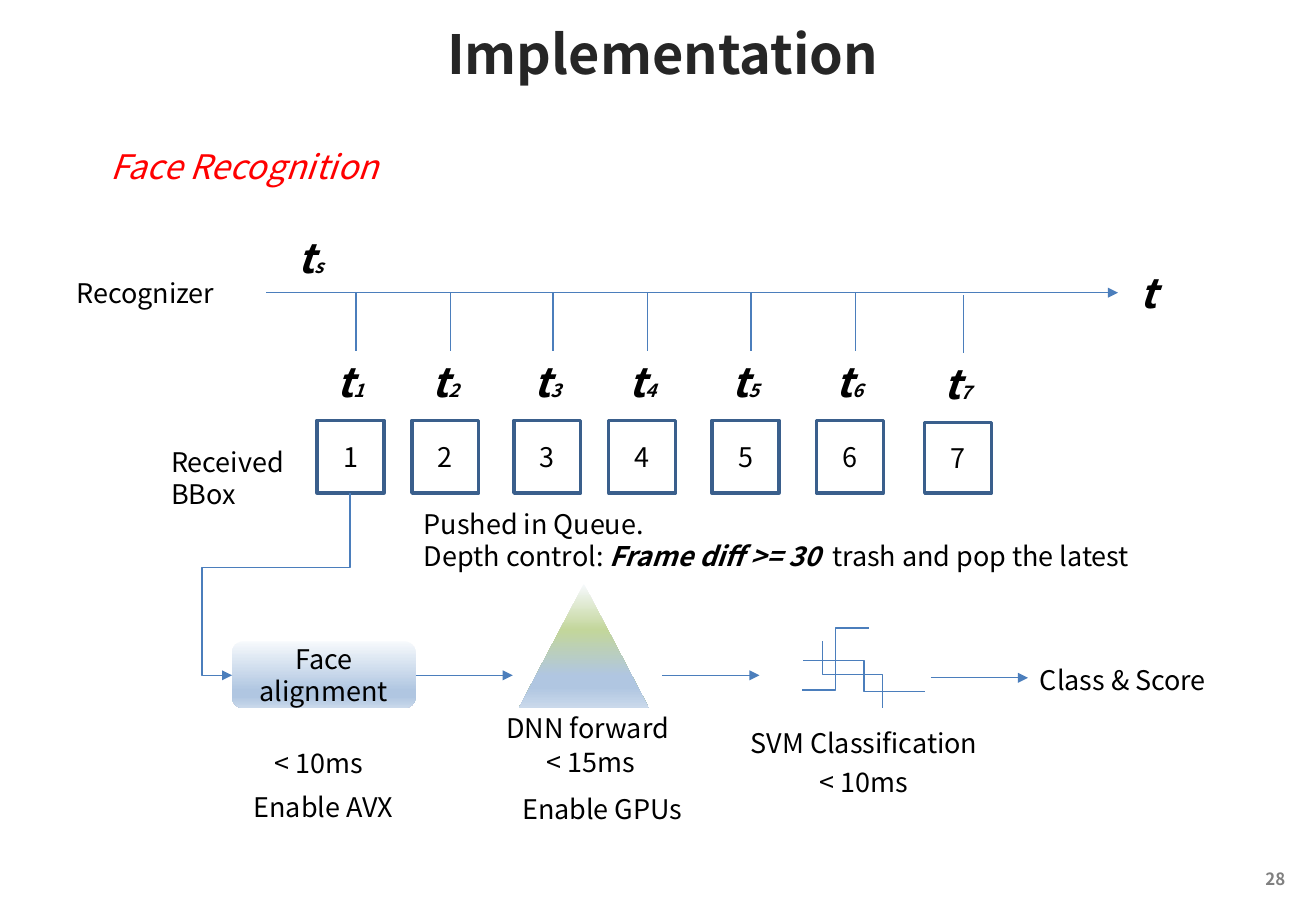
from dataclasses import dataclass
from pptx import Presentation
from pptx.dml.color import RGBColor as RGB
from pptx.enum.shapes import MSO_CONNECTOR as Link, MSO_SHAPE as Shape
from pptx.enum.text import MSO_ANCHOR as Anchor, MSO_AUTO_SIZE as Fit, PP_ALIGN as Align
from pptx.oxml import parse_xml
from pptx.oxml.ns import nsdecls, qn
from pptx.util import Inches, Pt


@dataclass(frozen=True)
class Theme:
    font: str = "Noto Sans CJK KR"
    ink: str = "000000"
    dark: str = "262626"
    gray: str = "808080"
    red: str = "FF0000"
    line: str = "4B7EBC"
    edge: str = "3A5F8C"
    pale: tuple = (0, "F6F9FC")
    green: tuple = (37, "C3D69B")
    blue: tuple = ((74, "B0C6E1"), (83, "B0C6E1"), (100, "CAD9EB"))
    title: int = 32
    head: int = 20
    time: int = 24
    body: int = 16
    sub: int = 11
    page: int = 10
    thin: float = 0.75
    thick: float = 2


T = Theme()


def style(run, size=T.body, color=T.ink, bold=False, italic=False):
    font = run.font
    font.name, font.size = T.font, Pt(size)
    font.bold, font.italic = bold, italic
    font.color.rgb = RGB.from_string(color)


def label(slide, text, x, y, w, h=0.37, **look):
    frame = slide.shapes.add_textbox(*map(Inches, (x, y, w, h))).text_frame
    frame.word_wrap = True
    frame.text = text
    for para in frame.paragraphs:
        for run in para.runs:
            style(run, **look)
    return frame


def moment(slide, sub, x, y, w=0.53):
    look = dict(bold=True, italic=True)
    frame = label(slide, "t", x, y, w, 0.5, size=T.time, **look)
    if sub:
        run = frame.paragraphs[0].add_run()
        run.text = sub
        style(run, T.sub, **look)


def block(slide, kind, x, y, w, h, text="", stops=()):
    shape = slide.shapes.add_shape(kind, *map(Inches, (x, y, w, h)))
    shape.shadow.inherit = False
    if stops:
        shape.line.fill.background()
        marks = "".join(
            f'<a:gs pos="{pos * 1000}"><a:srgbClr val="{color}"/></a:gs>'
            for pos, color in stops)
        grad = parse_xml(
            f'<a:gradFill {nsdecls("a")} rotWithShape="1"><a:gsLst>{marks}</a:gsLst>'
            '<a:lin ang="5400000" scaled="0"/></a:gradFill>')
        shape._element.spPr.find(qn("a:prstGeom")).addnext(grad)
    else:
        shape.fill.background()
        shape.line.color.rgb = RGB.from_string(T.edge)
        shape.line.width = Pt(T.thick)
    if text:
        frame = shape.text_frame
        frame.text = text
        frame.vertical_anchor = Anchor.MIDDLE
        para = frame.paragraphs[0]
        para.alignment = Align.CENTER
        style(para.runs[0])


def wire(slide, start, end, kind=Link.STRAIGHT, arrow=False):
    link = slide.shapes.add_connector(kind, *map(Inches, (*start, *end)))
    link.line.color.rgb = RGB.from_string(T.line)
    link.line.width = Pt(T.thin)
    if arrow:
        link.line._get_or_add_ln().append(
            parse_xml(f'<a:tailEnd {nsdecls("a")} type="triangle"/>'))
    link._element.spPr.append(parse_xml(f'<a:effectLst {nsdecls("a")}/>'))
    return link


def turned(slide, start, end, angle, arrow=False):
    sign = 1 if angle == 90 else -1
    mid = [(a + b) / 2 for a, b in zip(start, end)]
    dx, dy = start[0] - mid[0], start[1] - mid[1]
    across, down = sign * dy, -sign * dx
    link = wire(slide, (mid[0] + across, mid[1] + down),
                (mid[0] - across, mid[1] - down), Link.ELBOW, arrow)
    link._element.spPr.find(qn("a:xfrm")).set("rot", str(angle * 60000))
    return link


def header(slide, x, y, w, h):
    title = slide.shapes.title
    title.left, title.top, title.width, title.height = map(Inches, (x, y, w, h))
    frame = title.text_frame
    frame.text = "Implementation"
    frame.auto_size = Fit.NONE
    frame.word_wrap = False
    frame.vertical_anchor = Anchor.MIDDLE
    frame.margin_left = frame.margin_right = Inches(0.12)
    frame.margin_top = frame.margin_bottom = Inches(0.06)
    para = frame.paragraphs[0]
    para.alignment = Align.CENTER
    para._p.get_or_add_pPr().set("marL", str(Inches(0.1)))
    style(para.runs[0], T.title, T.dark, bold=True)


def timeline(slide, x, y, w, h):
    axis = y + 0.54
    wire(slide, (x + 1.66, axis), (x + 8.67, axis), arrow=True)
    label(slide, "Recognizer", x, y + 0.36, 1.42)
    moment(slide, "", x + 8.75, y + 0.29, 0.24)
    moment(slide, "s", x + 1.82, y)
    ticks = (2.4, 3.18, 4.02, 4.8, 5.65, 6.51, 7.4)
    for num, tick in enumerate(ticks, 1):
        drop = 0.02 if num == len(ticks) else 0
        left = x + tick
        moment(slide, str(num), left - 0.26, y + 1.02 + drop)
        wire(slide, (left, axis + drop), (left, axis + 0.48 + drop))
        block(slide, Shape.RECTANGLE, left - 0.32, y + 1.59 + drop,
              0.55, 0.6 - drop, str(num))
    label(slide, "Received BBox", x + 0.78, y + 1.75, 1.26, 0.64)
    note = label(slide, "Pushed in Queue.\nDepth control: ",
                 x + 2.86, y + h - 0.64, w - 2.86, 0.64)
    for text, strong in (("Frame diff >= 30 ", True), (" trash and pop the latest", False)):
        run = note.paragraphs[1].add_run()
        run.text = text
        style(run, bold=strong, italic=strong)


def pipeline(slide, x, y, w, h):
    flow = y + 1.5
    block(slide, Shape.ROUNDED_RECTANGLE, x + 0.25, y + 1.22, 1.51, 0.55,
          "Face alignment", (T.pale, *T.blue))
    block(slide, Shape.ISOSCELES_TRIANGLE, x + 2.61, y + 0.75, 1.07, 1.02,
          stops=(T.pale, T.green, *T.blue))
    for left, drop in ((1.76, 0), (3.79, 0), (6, 0.02)):
        wire(slide, (x + left, flow + drop), (x + left + 0.8, flow + drop), arrow=True)

    feed = turned(slide, (x + 1.22, y), (x + 0.25, flow), 90, arrow=True)
    geom = feed._element.spPr.find(qn("a:prstGeom"))
    geom.set("prst", "bentConnector4")
    for old in list(geom):
        geom.remove(old)
    geom.append(parse_xml(
        f'<a:avLst {nsdecls("a")}><a:gd name="adj1" fmla="val 40800"/>'
        '<a:gd name="adj2" fmla="val 125600"/></a:avLst>'))
    turned(slide, (x + 5.11, y + 1.22), (x + 5.6, y + 1.77), 270)
    wire(slide, (x + 5.49, y + 1.11), (x + 4.94, y + 1.62), Link.ELBOW)
    wire(slide, (x + 4.95, y + 1.38), (x + 5.95, y + 1.63), Link.ELBOW)

    for text, left, top, wide in (
            ("DNN forward", 2.41, 1.75, 1.73),
            ("SVM Classification", 4.42, 1.87, 2.14),
            ("Class & Score", 6.8, 1.35, 1.73),
            ("< 10ms", 0.5, 2.04, 1.34),
            ("< 15ms", 2.74, 2.03, 1.34),
            ("< 10ms", 4.99, 2.19, 1.34),
            ("Enable AVX", 0.33, 2.4, 1.73),
            ("Enable GPUs", 2.54, 2.42, 1.73)):
        label(slide, text, x + left, y + top, wide)


def footer(slide, x, y, w, h):
    frame = label(slide, "28", x, y, w, h, size=T.page, color=T.gray, bold=True)
    frame.margin_left = frame.margin_right = Inches(0.12)
    frame.margin_top = frame.margin_bottom = 0
    frame.paragraphs[0].alignment = Align.CENTER


def main():
    deck = Presentation()
    deck.slide_width, deck.slide_height = Inches(10.83), Inches(7.5)
    slide = deck.slides.add_slide(deck.slide_layouts[5])
    header(slide, -0.02, 0.12, 10.85, 0.63)
    label(slide, "Face Recognition", 0.81, 1.15, 3.15, 0.44,
          size=T.head, color=T.red, italic=True)
    timeline(slide, 0.53, 1.87, 9.37, 2.9)
    pipeline(slide, 1.66, 4.06, 8.53, 2.79)
    footer(slide, 10.22, 7.15, 0.55, 0.17)
    deck.save("out.pptx")


if __name__ == "__main__":
    main()
